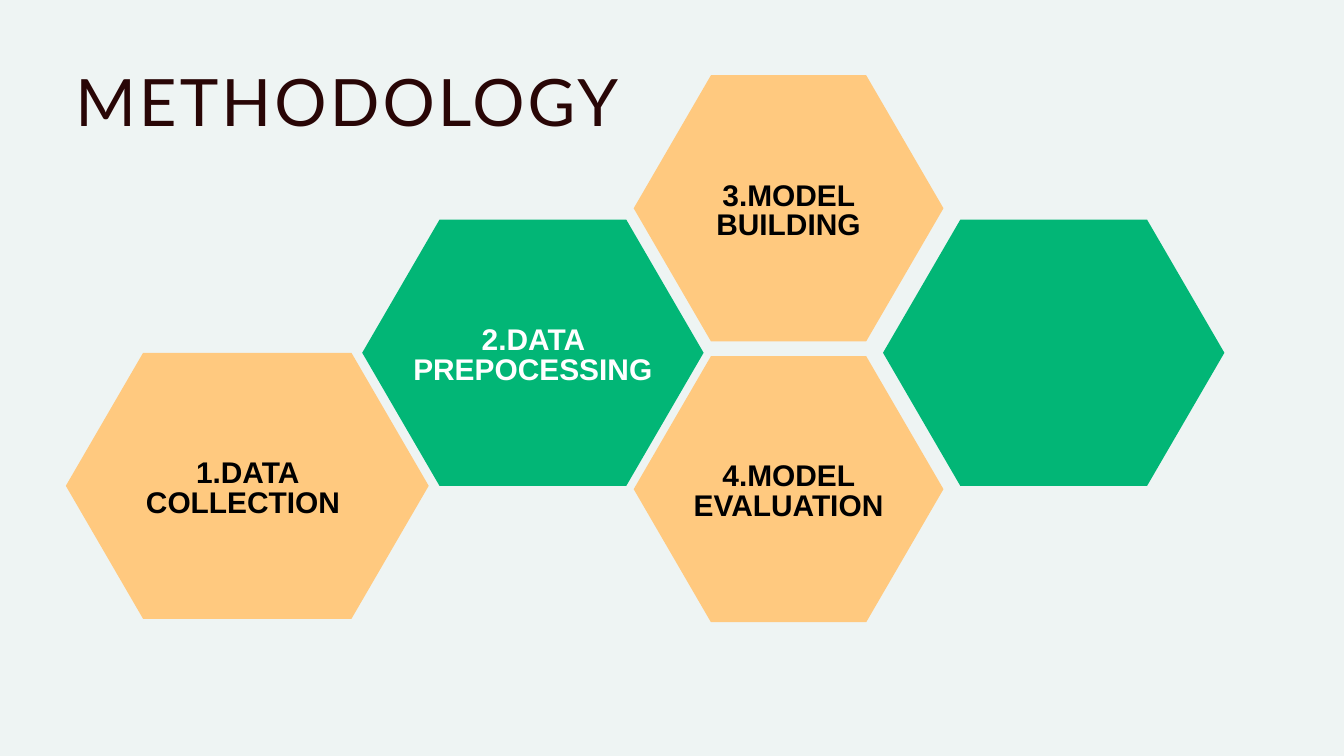
import pptx
import pptx.util
import pptx.dml.color
import pptx.enum.text

Inches, Pt = pptx.util.Inches, pptx.util.Pt
RGB = pptx.dml.color.RGBColor.from_string
ANCHOR = pptx.enum.text.MSO_ANCHOR
ALIGN = pptx.enum.text.PP_ALIGN

# Content: left, top, width, fill, text, text colour
COLORS = {"back": "EEF4F3", "title": "290606", "sand": "FFC97F",
          "green": "02B676", "black": "000000", "white": "FFFFFF"}
TITLE = "METHODOLOGY"
STEPS = [
    (9.43, 1.12, 4.61, "sand", "3.MODEL BUILDING", "black"),
    (9.43, 5.3, 4.61, "sand", "4.MODEL EVALUATION", "black"),
    (5.39, 3.27, 5.08, "green", "2.DATA PREPOCESSING", "white"),
    (0.98, 5.25, 5.4, "sand", "1.DATA COLLECTION ", "black"),
    (13.14, 3.27, 5.08, "green", "", "white"),
]
HIGH, SLANT = 3.96, 1.15      # hexagon height and width of its slanted ends
SIDE, DROP = 0.65, 0.11       # label margins inside a hexagon


def add_text(shapes, text, box, size, color, font="Arial", bold=False,
             align=ALIGN.LEFT, anchor=ANCHOR.TOP, inset=0, gap=0):
    frame = shapes.add_textbox(*map(Inches, box)).text_frame
    frame.word_wrap = True
    frame.vertical_anchor = anchor
    frame.margin_left = frame.margin_right = Inches(inset)
    frame.margin_top = frame.margin_bottom = Inches(inset)
    para = frame.paragraphs[0]
    para.alignment = align
    para.line_spacing = Pt(size)
    run = para.add_run()
    run.text = text
    run.font.name, run.font.size, run.font.bold = font, Pt(size), bold
    run.font.color.rgb = RGB(COLORS[color])
    if gap:
        run.font._element.set("spc", str(round(gap * 100)))


def add_hex(shapes, left, top, width, fill):
    right, mid, low = left + width, top + HIGH / 2, top + HIGH
    points = [(right, mid), (right - SLANT, low), (left + SLANT, low),
              (left, mid), (left + SLANT, top), (right - SLANT, top)]
    points = [(Inches(x), Inches(y)) for x, y in points]
    path = shapes.build_freeform(*points[0])
    path.add_line_segments(points[1:], close=True)
    shape = path.convert_to_shape()
    shape.shadow.inherit = False
    shape.fill.solid()
    shape.fill.fore_color.rgb = RGB(COLORS[fill])
    shape.line.fill.background()


def main():
    deck = pptx.Presentation()
    deck.slide_width, deck.slide_height = Inches(20), Inches(11.25)
    slide = deck.slides.add_slide(deck.slide_layouts[6])
    slide.background.fill.solid()
    slide.background.fill.fore_color.rgb = RGB(COLORS["back"])

    # Hexagons, each grouped with its label
    for left, top, width, fill, text, color in STEPS:
        group = slide.shapes.add_group_shape().shapes
        add_hex(group, left, top, width, fill)
        if text:
            box = (left + SIDE, top + DROP, width - 2 * SIDE, HIGH - DROP)
            add_text(group, text, box, 32, color, bold=True, inset=0.06,
                     align=ALIGN.CENTER, anchor=ANCHOR.MIDDLE)

    # Title
    add_text(slide.shapes, TITLE, (1.12, 1.11, 8.88, 1.17), 70, "title",
             font="Lato", gap=3.4)

    deck.save("out.pptx")


if __name__ == "__main__":
    main()
